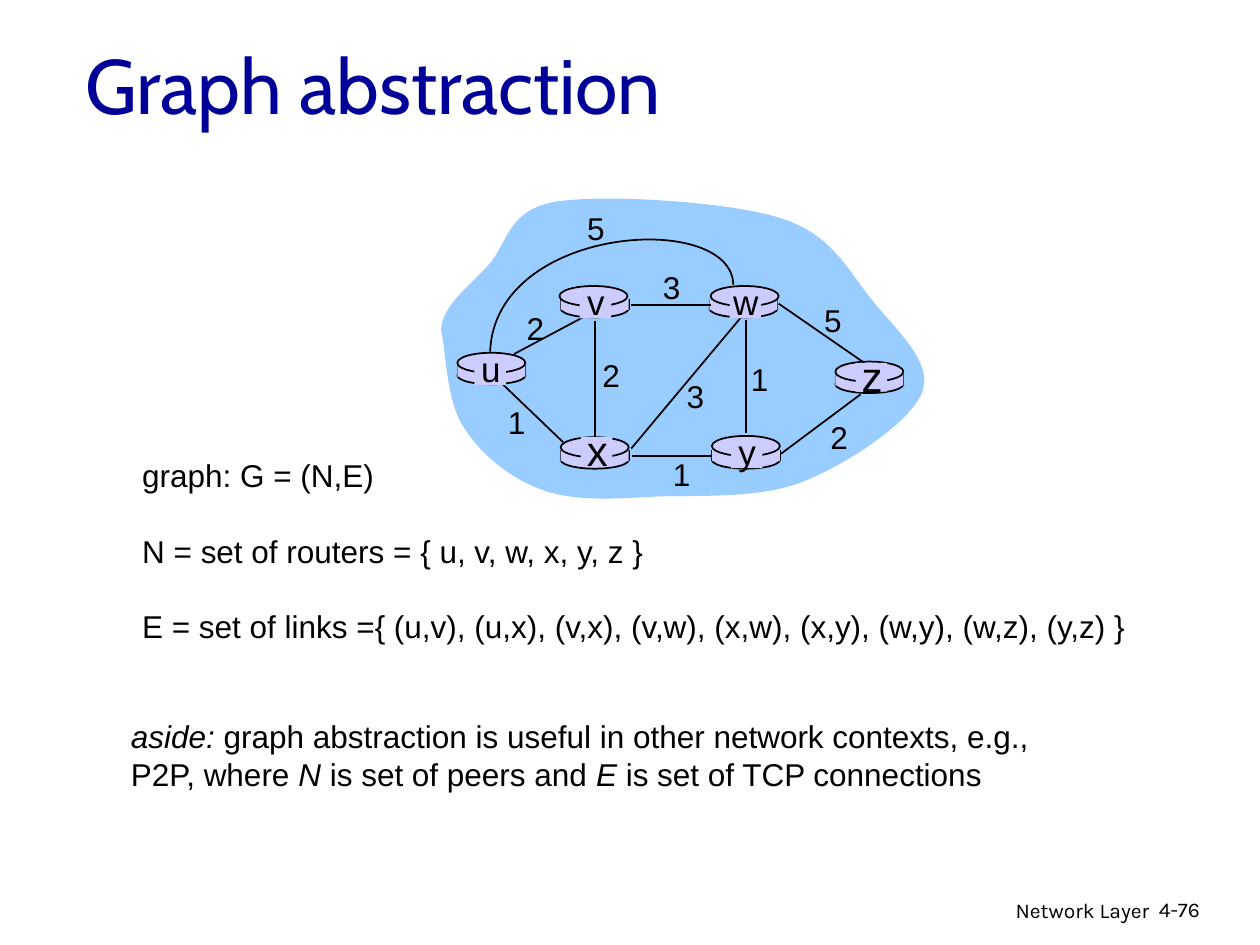
"""Build the slide that defines a network as a weighted graph of routers."""
from lxml import etree
from pptx import Presentation
from pptx.dml.color import RGBColor
from pptx.enum.shapes import MSO_CONNECTOR, MSO_SHAPE
from pptx.enum.text import MSO_ANCHOR, PP_ALIGN
from pptx.oxml.ns import qn
from pptx.util import Inches, Pt

LEFT, CENTER, RIGHT = PP_ALIGN.LEFT, PP_ALIGN.CENTER, PP_ALIGN.RIGHT
TOP, MIDDLE = MSO_ANCHOR.TOP, MSO_ANCHOR.MIDDLE
OVAL, RECTANGLE = MSO_SHAPE.OVAL, MSO_SHAPE.RECTANGLE
STRAIGHT = MSO_CONNECTOR.STRAIGHT
BLACK = RGBColor(0x00, 0x00, 0x00)
NAVY = RGBColor(0x00, 0x00, 0x99)
SKY = RGBColor(0x99, 0xCC, 0xFF)
LILAC = RGBColor(0xCC, 0xCC, 0xFF)

WIDTH, HEIGHT = Inches(10), Inches(7.5)
COLUMNS = 10
UNIT = WIDTH // COLUMNS
ROUTER_WIDTH = 0.54

TITLE = "Graph abstraction"
DEFINITIONS = [
    [("graph: G = (N,E)", False)],
    [("N = set of routers = { u, v, w, x, y, z }", False)],
    [("E = set of links ={ (u,v), (u,x), (v,x), (v,w), (x,w), (x,y), (w,y), (w,z), (y,z) }", False)],
]
ASIDE = [
    [("aside:", True), (" graph abstraction is useful in other network contexts, e.g.,", False)],
    [("P2P, where ", False), ("N", True), (" is set of peers and ", False),
     ("E", True), (" is set of TCP connections", False)],
]
BODIES = [(3.63, 2.90), (4.45, 3.57), (4.45, 2.37), (5.63, 2.37), (5.65, 3.57), (6.63, 2.97)]
LIDS = [(3.63, 2.80), (4.45, 3.47), (4.44, 2.27), (5.64, 2.27), (5.65, 3.46), (6.63, 2.87)]
NAMES = [
    ("u", 3.72, 2.71, 0.35, 20), ("y", 5.76, 3.37, 0.34, 20), ("x", 4.56, 3.32, 0.36, 24),
    ("w", 5.72, 2.18, 0.40, 20), ("v", 4.56, 2.18, 0.34, 20), ("z", 6.74, 2.73, 0.36, 24),
]
LINK_BEHIND = ((4.08, 2.81), (4.68, 2.49))
LINKS = [
    ((5.92, 2.54), (5.92, 3.44)), ((4.72, 2.55), (4.72, 3.48)),
    ((5.01, 3.56), (5.88, 2.52)), ((6.20, 3.60), (6.83, 3.13)),
    ((5.65, 3.62), (5.02, 3.62)), ((4.47, 3.51), (3.99, 3.05)),
    ((5.64, 2.42), (5.01, 2.42)), ((6.86, 2.88), (6.18, 2.41)),
]
COSTS = [
    ("2", 4.08, 2.40), ("2", 4.68, 2.78), ("1", 3.93, 3.15), ("3", 5.35, 2.94),
    ("1", 5.24, 3.56), ("1", 5.86, 2.81), ("2", 6.49, 3.27), ("5", 6.44, 2.34),
    ("3", 5.16, 2.08), ("5", 4.56, 1.61),
]
ARC = [(5.82, 2.26), (5.81, 1.67), (3.93, 1.78), (3.89, 2.79)]
CLOUD = [
    (3.50, 2.62), (3.51, 2.42), (3.73, 2.27), (3.88, 2.10), (4.03, 1.93), (4.03, 1.66),
    (4.42, 1.60), (4.80, 1.54), (5.78, 1.60), (6.19, 1.73), (6.61, 1.86), (6.73, 2.15),
    (6.92, 2.38), (7.10, 2.61), (7.41, 2.87), (7.32, 3.11), (7.23, 3.35), (6.73, 3.68),
    (6.38, 3.82), (6.03, 3.96), (5.57, 3.93), (5.22, 3.94), (4.88, 3.96), (4.56, 3.98),
    (4.31, 3.89), (4.05, 3.80), (3.81, 3.60), (3.68, 3.39), (3.54, 3.18), (3.54, 2.78),
    (3.50, 2.62),
]


def grid(*values):
    return [round(value * UNIT) for value in values]


def add_text(shapes, content, area, size=18, font="Arial", color=BLACK, align=LEFT,
             anchor=TOP, wrap=True, leading=1.2, gap=0):
    box = shapes.add_textbox(*grid(*area))
    frame = box.text_frame
    frame.word_wrap = wrap
    frame.vertical_anchor = anchor
    lines = [[(content, False)]] if isinstance(content, str) else content
    for index, line in enumerate(lines):
        para = frame.add_paragraph() if index else frame.paragraphs[0]
        para.alignment = align
        if leading:
            para.line_spacing = Pt(size * leading)
        if index and gap:
            para.space_before = Pt(gap)
        for words, italic in line:
            span = para.add_run()
            span.text = words
            span.font.name, span.font.size, span.font.italic = font, Pt(size), italic
            span.font.color.rgb = color


def style(shape, fill=None, outlined=False):
    shape.shadow.inherit = False
    if fill is None:
        shape.fill.background()
    else:
        shape.fill.solid()
        shape.fill.fore_color.rgb = fill
    if outlined:
        shape.line.color.rgb = BLACK
        shape.line.width = Pt(1)
    else:
        shape.line.fill.background()


def add_block(shapes, kind, area, outlined=False):
    style(shapes.add_shape(kind, *grid(*area)), LILAC, outlined)


def add_link(shapes, start, end):
    link = shapes.add_connector(STRAIGHT, *grid(*start, *end))
    link.line.color.rgb = BLACK
    link.line.width = Pt(1)
    etree.SubElement(link._element.spPr, qn("a:effectLst"))


def add_curve(shapes, knots, closed=False, **look):
    outline = shapes.build_freeform(*grid(*knots[0]))
    outline.add_line_segments([grid(*knot) for knot in knots[1:]], close=closed)
    shape = outline.convert_to_shape()
    segments = list(shape._element.iter(qn("a:lnTo")))
    for first in range(0, len(segments), 3):
        curve = etree.Element(qn("a:cubicBezTo"))
        segments[first].addprevious(curve)
        for segment in segments[first:first + 3]:
            curve.append(segment[0])
            segment.getparent().remove(segment)
    style(shape, **look)


def add_router(shapes, body, lid):
    x, y = body
    add_block(shapes, OVAL, (x, y + 0.01, ROUTER_WIDTH, 0.14), outlined=True)
    for side in (x, x + ROUTER_WIDTH):
        add_link(shapes, (side, y), (side, y + 0.09))
    add_block(shapes, RECTANGLE, (x, y, ROUTER_WIDTH, 0.09))
    add_block(shapes, OVAL, (*lid, ROUTER_WIDTH, 0.16), outlined=True)


def add_graph(shapes):
    add_curve(shapes, CLOUD, closed=True, fill=SKY)
    add_link(shapes, *LINK_BEHIND)
    for body, lid in zip(BODIES, LIDS):
        add_router(shapes, body, lid)
    for start, end in LINKS:
        add_link(shapes, start, end)
    add_curve(shapes, ARC, outlined=True)
    for name, x, y, wide, size in NAMES:
        tall = 0.1 + size * 1.2 / 72
        middle = y + tall / 2
        add_block(shapes, RECTANGLE, (x + wide / 2 - 0.13, middle - 0.1, 0.25, 0.23))
        add_text(shapes, name, (x, y, wide, tall), size=size, align=CENTER, wrap=False)
    for cost, x, y in COSTS:
        add_text(shapes, cost, (x, y, 0.34, 0.4), align=CENTER, wrap=False)


def main():
    deck = Presentation()
    deck.slide_width, deck.slide_height = WIDTH, HEIGHT
    page = deck.slides.add_slide(deck.slide_layouts[6])
    shapes = page.shapes
    add_text(shapes, "Network Layer", (6.05, 7.07, 3.17, 0.31), size=12, font="Karla",
             align=RIGHT, leading=None)
    add_text(shapes, "4-76", (9.1, 7.07, 0.74, 0.3), size=12, font="Karla", leading=None)
    add_graph(shapes.add_group_shape().shapes)
    add_text(shapes, DEFINITIONS, (1.03, 3.57, 8.09, 1.6), gap=21.6)
    add_text(shapes, TITLE, (0.58, 0.23, 8.5, 0.87), size=44, font="Cabin", color=NAVY,
             anchor=MIDDLE, leading=None)
    add_text(shapes, ASIDE, (0.94, 5.64, 8.03, 0.7))
    deck.save("out.pptx")


if __name__ == "__main__":
    main()
